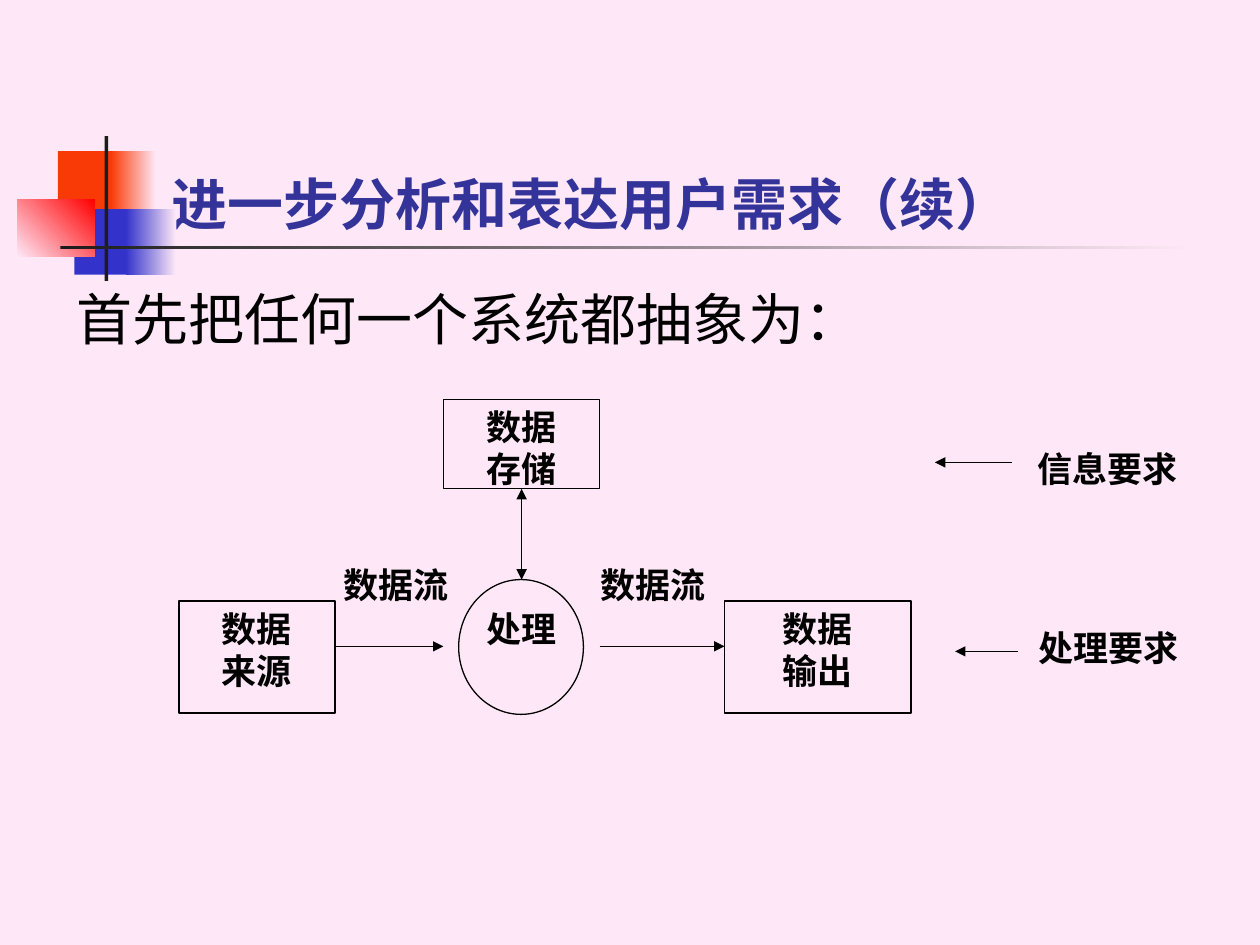
"""Build the slide that abstracts a system into data source, process, store and output."""
from lxml import etree
from pptx import Presentation
from pptx.dml.color import RGBColor
from pptx.enum.shapes import MSO_CONNECTOR, MSO_SHAPE
from pptx.enum.text import MSO_ANCHOR, MSO_AUTO_SIZE, PP_ALIGN
from pptx.oxml.ns import qn
from pptx.util import Inches, Pt

RECTANGLE, OVAL = MSO_SHAPE.RECTANGLE, MSO_SHAPE.OVAL
STRAIGHT = MSO_CONNECTOR.STRAIGHT
LEFT, CENTER = PP_ALIGN.LEFT, PP_ALIGN.CENTER
TOP, BOTTOM = MSO_ANCHOR.TOP, MSO_ANCHOR.BOTTOM
NO_FIT = MSO_AUTO_SIZE.NONE


def color(value):
    """Turn a hex string into a colour."""
    return RGBColor.from_string(value)


def write(shape, text, font="Times New Roman", size=20, ink="000000",
          bold=True, align=CENTER, anchor=TOP, side=0):
    """Fill a shape with text, one paragraph for each line."""
    frame = shape.text_frame
    frame.word_wrap = True
    frame.auto_size = NO_FIT
    frame.vertical_anchor = anchor
    frame.margin_left = frame.margin_right = Inches(side)
    frame.margin_top = frame.margin_bottom = Inches(0.05)
    for index, line in enumerate(text.split("\n")):
        para = frame.add_paragraph() if index else frame.paragraphs[0]
        para.alignment = align
        span = para.add_run()
        span.text = line
        span.font.name = font
        span.font.size = Pt(size)
        span.font.bold = bold
        span.font.color.rgb = color(ink)


class DiagramPage:
    """Hold the style and the current slide."""

    paper = "FEE8F7"
    ink = "000000"
    heading = {"font": "Lato", "size": 32, "align": LEFT, "side": 0.1}

    def __init__(self, deck):
        """Add a title-only slide with a tinted background."""
        self.page = deck.slides.add_slide(deck.slide_layouts[5])
        self.page.background.fill.solid()
        self.page.background.fill.fore_color.rgb = color(self.paper)

    def title(self, text, *place):
        """Place and format the title."""
        box = self.page.shapes.title
        box.left, box.top, box.width, box.height = map(Inches, place)
        write(box, text, ink="333399", anchor=BOTTOM, **self.heading)

    def shape(self, kind, *place):
        """Add a preset shape without shadow."""
        shape = self.page.shapes.add_shape(kind, *map(Inches, place))
        shape.shadow.inherit = False
        return shape

    def block(self, place, start, end=None, angle=0):
        """Add a borderless block with a plain or gradient fill."""
        block = self.shape(RECTANGLE, *place)
        block.line.fill.background()
        if end is None:
            block.fill.solid()
            block.fill.fore_color.rgb = color(start)
            return
        block.fill.gradient()
        block.fill.gradient_angle = angle
        for stop, shade in zip(block.fill.gradient_stops, (start, end)):
            stop.color.rgb = color(shade)

    def node(self, kind, place, text=""):
        """Add an outlined diagram node."""
        node = self.shape(kind, *place)
        node.fill.background()
        node.line.color.rgb = color(self.ink)
        node.line.width = Pt(0.75)
        if text:
            write(node, text)

    def label(self, text, place, **style):
        """Add a text box."""
        write(self.page.shapes.add_textbox(*map(Inches, place)), text, **style)

    def arrow(self, start, end, ends=("tailEnd",)):
        """Add a line with the given arrowheads."""
        line = self.page.shapes.add_connector(STRAIGHT, *map(Inches, start + end))
        line.line.color.rgb = color(self.ink)
        line.line.width = Pt(0.75)
        outline = line.line._get_or_add_ln()
        for name in ends:
            etree.SubElement(outline, qn("a:" + name), type="triangle")
        etree.SubElement(line._element.spPr, qn("a:effectLst"))


def main():
    """Draw the slide and save it."""
    deck = Presentation()
    deck.slide_width, deck.slide_height = Inches(10), Inches(7.5)
    slide = DiagramPage(deck)
    paper = slide.paper

    for place, *fill in (
        ((0.46, 1.2, 0.48, 0.52), "FA3A06"),
        ((0.88, 1.2, 0.36, 0.52), "FA3A06", paper),
        ((0.59, 1.66, 0.46, 0.52), "3333CC"),
        ((1, 1.66, 0.4, 0.52), "3333CC", paper),
        ((0.14, 1.58, 0.61, 0.46), paper, "FF0000", 45),
        ((0.83, 1.08, 0.03, 1.15), "1C1C1C"),
        ((0.48, 1.95, 9, 0.03), "1C1C1C", paper),
    ):
        slide.block(place, *fill)

    slide.title("进一步分析和表达用户需求（续）", 1.26, 0.68, 8.52, 1.25)
    slide.label("首先把任何一个系统都抽象为：", (0.51, 2.21, 9.28, 4.5),
                bold=False, **slide.heading)

    slide.node(OVAL, (3.64, 4.6, 0.99, 1.07))
    for text, place in (
        ("数据\n存储", (3.52, 3.17, 1.24, 0.71)),
        ("数据\n来源", (1.42, 4.77, 1.24, 0.89)),
        ("数据\n输出", (5.75, 4.77, 1.48, 0.89)),
    ):
        slide.node(RECTANGLE, place, text)

    for text, place in (
        ("数据流", (2.65, 4.42, 0.99, 0.71)),
        ("数据流", (4.63, 4.42, 1.11, 0.71)),
        ("处理", (3.77, 4.77, 0.74, 0.53)),
        ("信息要求", (8.17, 3.5, 1.24, 0.73)),
        ("处理要求", (8.18, 4.92, 1.24, 0.57)),
    ):
        slide.label(text, place)

    for start, end in (
        ((2.65, 5.13), (3.52, 5.13)),
        ((4.76, 5.13), (5.75, 5.13)),
        ((8.03, 3.67), (7.42, 3.67)),
        ((8.08, 5.17), (7.58, 5.17)),
    ):
        slide.arrow(start, end)
    slide.arrow((4.14, 3.88), (4.14, 4.6), ("headEnd", "tailEnd"))

    deck.save("out.pptx")


if __name__ == "__main__":
    main()
